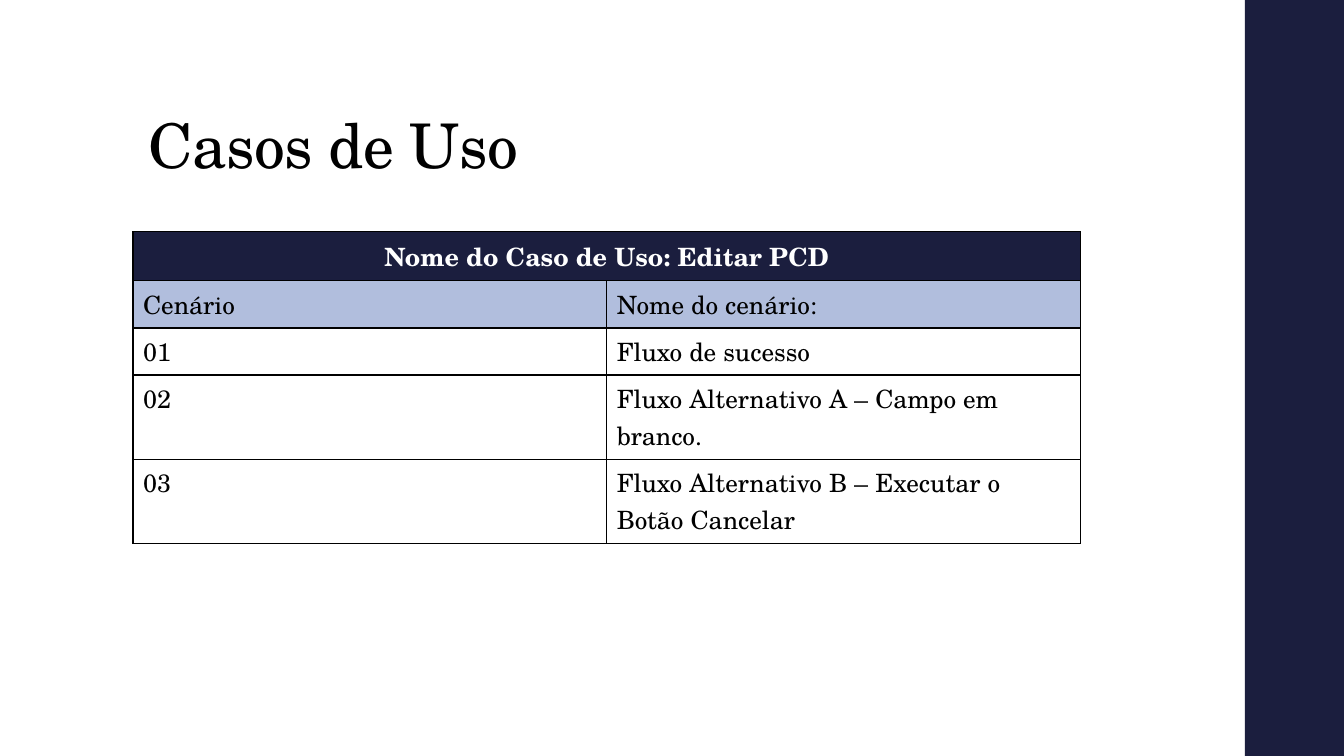
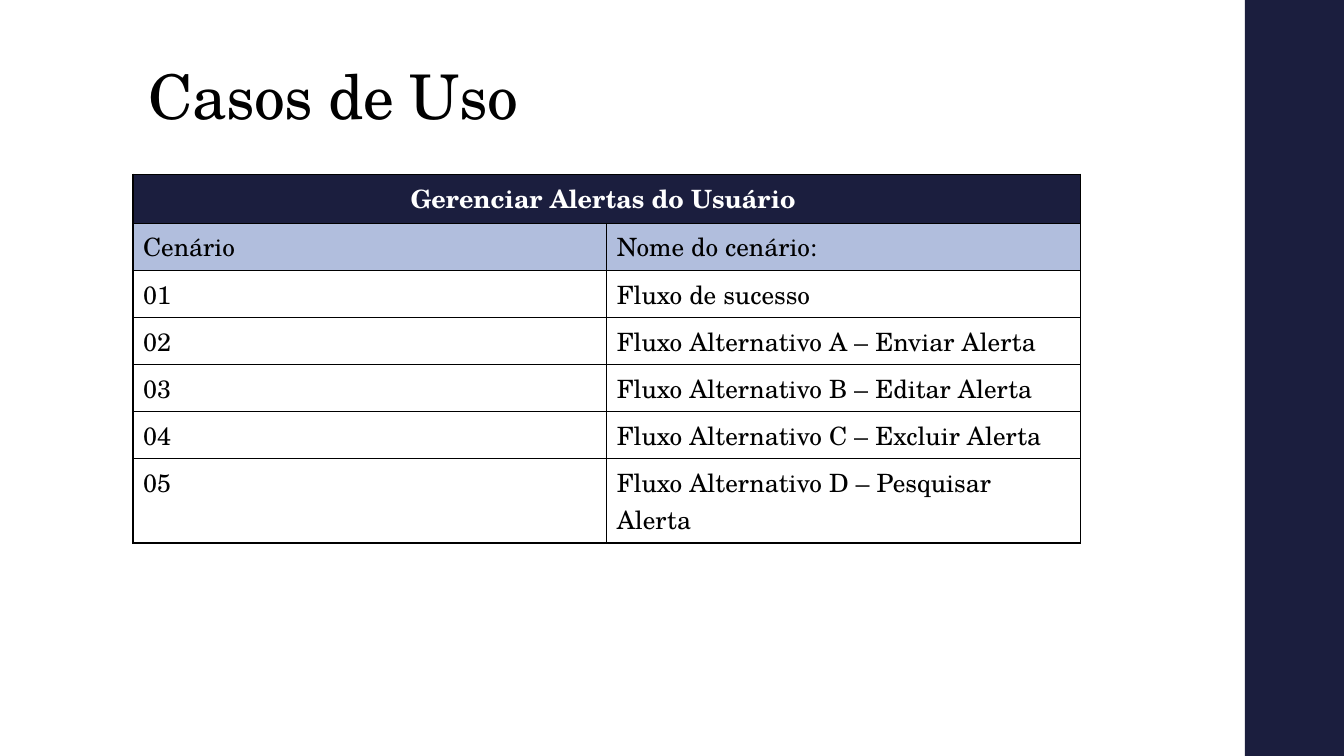
from lxml.etree import SubElement
from pptx import Presentation
from pptx.dml.color import RGBColor
from pptx.enum.shapes import MSO_SHAPE as Shape
from pptx.enum.text import MSO_ANCHOR as Anchor, MSO_AUTO_SIZE as AutoSize, PP_ALIGN as Align
from pptx.oxml.ns import qn
from pptx.util import Cm, Pt

FONT = "TeX Gyre Schola"
NAVY, LIGHT_BLUE, WHITE, BLACK = "1B1E3E", "B1BEDD", "FFFFFF", "000000"
PAGE_WIDTH, PAGE_HEIGHT = 33.87, 19.05
BAND_LEFT = 31.37
TITLE_LEFT, TITLE_TOP, TITLE_WIDTH = 3.5, 1.02, 26.92
TABLE_LEFT, TABLE_WIDTH = 3.35, 23.88
HEADINGS = ("Cenário", "Nome do cenário:")


def color(hex_code):
    return RGBColor.from_string(hex_code)


def set_font(para, size, hex_code, bold=False):
    font = para.font
    font.name, font.size, font.bold = FONT, Pt(size), bold
    font.color.rgb = color(hex_code)


def add_band(page):
    band = page.shapes.add_shape(Shape.RECTANGLE, Cm(BAND_LEFT), 0,
                                 Cm(PAGE_WIDTH - BAND_LEFT), Cm(PAGE_HEIGHT))
    band.shadow.inherit = False
    band.fill.solid()
    band.fill.fore_color.rgb = color(NAVY)
    band.line.fill.background()


def set_title(page, text, height):
    title = page.shapes.title
    title.left, title.top = Cm(TITLE_LEFT), Cm(TITLE_TOP)
    title.width, title.height = Cm(TITLE_WIDTH), Cm(height)
    frame = title.text_frame
    frame.text = text
    frame.auto_size = AutoSize.NONE
    frame.vertical_anchor = Anchor.BOTTOM
    para = frame.paragraphs[0]
    para.alignment = Align.LEFT
    para.line_spacing = 0.9
    set_font(para, 44, BLACK)
    para.runs[0].font.bold = False
    para.runs[0]._r.get_or_add_rPr().set("spc", "-50")


def add_borders(cell):
    properties = cell._tc.get_or_add_tcPr()
    for side in ("a:lnL", "a:lnR", "a:lnT", "a:lnB"):
        line = SubElement(properties, qn(side), w=str(Pt(1)))
        fill = SubElement(line, qn("a:solidFill"))
        SubElement(fill, qn("a:srgbClr"), val=BLACK)


def fill_cell(cell, text, fill, text_color=BLACK, bold=False, align=Align.LEFT):
    cell.text = text
    para = cell.text_frame.paragraphs[0]
    para.alignment = align
    set_font(para, 18, text_color, bold)
    cell.fill.solid()
    cell.fill.fore_color.rgb = color(fill)


def add_scenario_table(page, top, use_case, scenarios, row_heights):
    """Draw a merged use-case header, the headings and numbered scenarios."""
    table = page.shapes.add_table(len(row_heights), 2, Cm(TABLE_LEFT), Cm(top),
                                  Cm(TABLE_WIDTH), Cm(sum(row_heights))).table
    table.first_row = table.horz_banding = False
    for row, height in zip(table.rows, row_heights):
        row.height = Cm(height)
    for cell in table.iter_cells():
        add_borders(cell)

    header = table.cell(0, 0)
    header.merge(table.cell(0, 1))
    fill_cell(header, use_case, NAVY, WHITE, bold=True, align=Align.CENTER)
    numbered = [(f"{number:02}", name) for number, name in enumerate(scenarios, 1)]
    for row, texts in enumerate([HEADINGS, *numbered], 1):
        for column, text in enumerate(texts):
            fill_cell(table.cell(row, column), text, LIGHT_BLUE if row == 1 else WHITE)


def add_use_case_page(deck, title_height, table_top, use_case, scenarios, row_heights):
    page = deck.slides.add_slide(deck.slide_layouts[5])
    add_band(page)
    set_title(page, "Casos de Uso", title_height)
    add_scenario_table(page, table_top, use_case, scenarios, row_heights)


def main():
    deck = Presentation()
    deck.slide_width, deck.slide_height = Cm(PAGE_WIDTH), Cm(PAGE_HEIGHT)
    add_use_case_page(deck, 3.68, 5.84, "Nome do Caso de Uso: Editar PCD", [
        "Fluxo de sucesso",
        "Fluxo Alternativo A – Campo em branco.",
        "Fluxo Alternativo B – Executar o Botão Cancelar",
    ], [1] * 3 + [1.73] * 2)
    add_use_case_page(deck, 2.46, 4.39, "Gerenciar Alertas do Usuário ", [
        "Fluxo de sucesso",
        "Fluxo Alternativo A – Enviar Alerta",
        "Fluxo Alternativo B – Editar Alerta",
        "Fluxo Alternativo C – Excluir Alerta",
        "Fluxo Alternativo D – Pesquisar Alerta",
    ], [1.04] * 7)
    deck.save("out.pptx")


if __name__ == "__main__":
    main()
